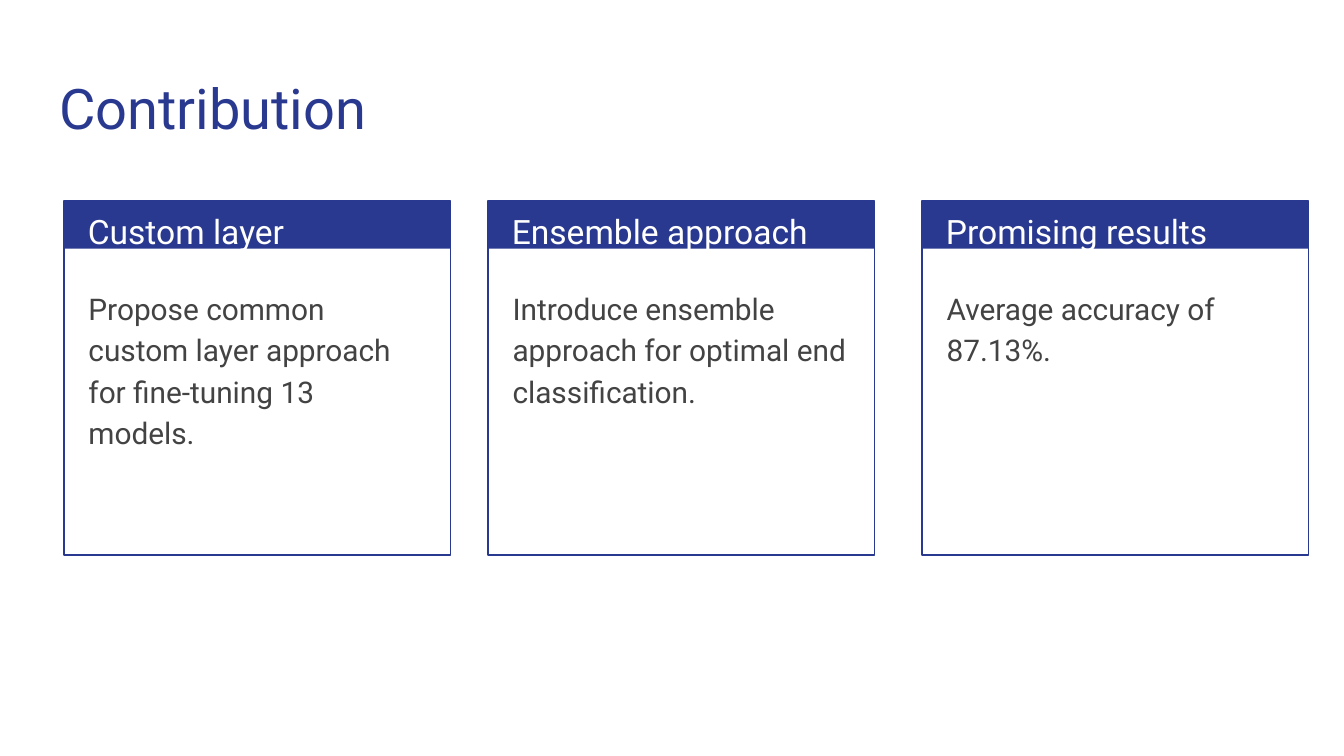
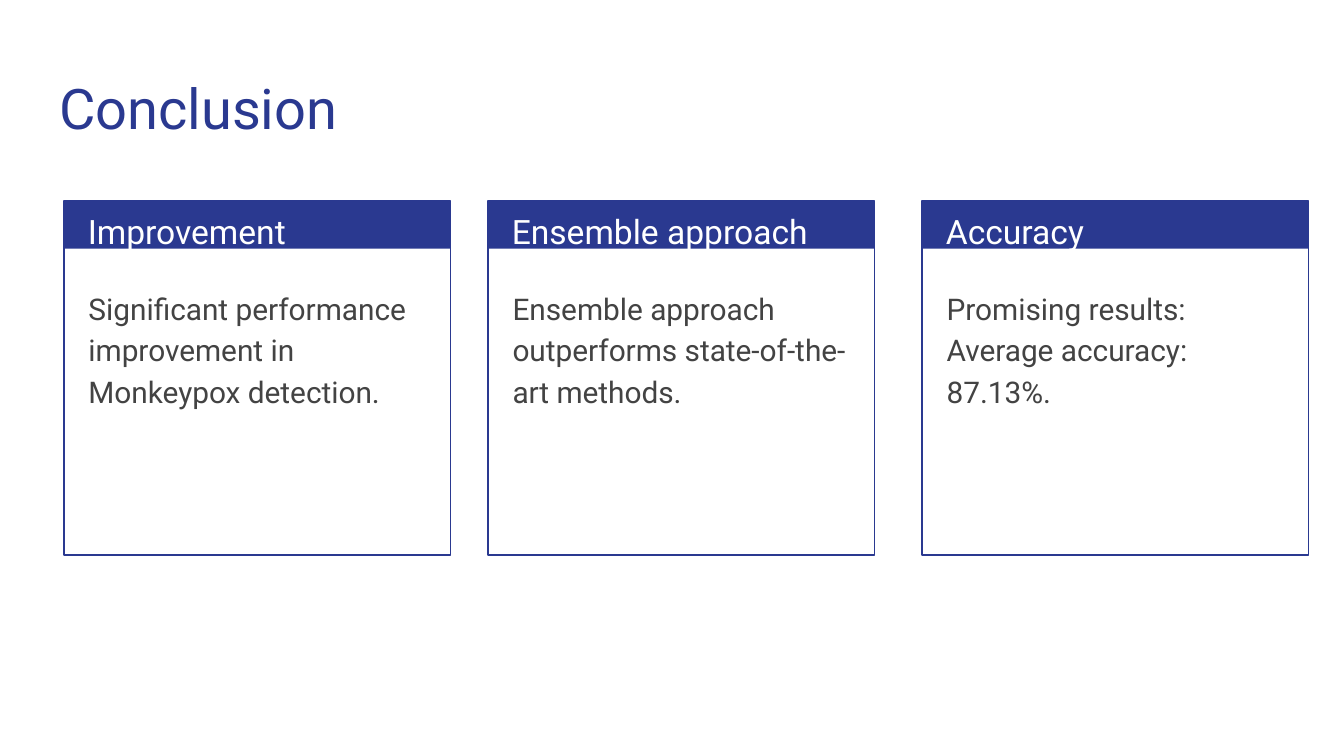
"""Build two slides of three titled cards each."""
from pptx import Presentation
from pptx import util as u
from pptx.dml.color import RGBColor
from pptx.enum import shapes, text

PX = 4572
BLUE, GREY, WHITE = "2A3990", "434343", "FFFFFF"
FONT = "Roboto"
LEFTS = (95, 726, 1372)
DECK = (
    ("Contribution", (
        ("Custom layer", "Propose common custom layer approach for fine-tuning 13 models.", 270),
        ("Ensemble approach", "Introduce ensemble approach for optimal end classification.", 208),
        ("Promising results", "Average accuracy of 87.13%.", 208),
    )),
    ("Conclusion", (
        ("Improvement", "Significant performance improvement in Monkeypox detection.", 270),
        ("Ensemble approach", "Ensemble approach outperforms state-of-the-art methods.", 208),
        ("Accuracy", "Promising results: Average accuracy: 87.13%.", 240),
    )),
)


def color(code):
    return RGBColor.from_string(code)


def px(*vals):
    return [u.Emu(v * PX) for v in vals]


def write(shape, words, size=16, fill=GREY, lead=1.0, after=0):
    frame = shape.text_frame
    frame.word_wrap = True
    frame.auto_size = text.MSO_AUTO_SIZE.NONE
    frame.vertical_anchor = text.MSO_ANCHOR.TOP
    pad = px(20)[0]
    frame.margin_left = frame.margin_right = pad
    frame.margin_top = frame.margin_bottom = pad
    par = frame.paragraphs[0]
    par.alignment = text.PP_ALIGN.LEFT
    par.line_spacing = lead
    par.space_before, par.space_after = u.Pt(0), u.Pt(after)
    run = par.add_run()
    run.text = words
    run.font.name, run.font.size = FONT, u.Pt(size)
    run.font.color.rgb = color(fill)


class Deck:
    def __init__(self):
        self.prs = Presentation()
        self.prs.slide_width, self.prs.slide_height = px(2000, 1125)
        back = self.prs.slide_master.background.fill
        back.solid()
        back.fore_color.rgb = color(WHITE)
        self.slide = None

    def page(self, name):
        self.slide = self.prs.slides.add_slide(self.prs.slide_layouts.get_by_name("Title Only"))
        title = self.slide.shapes.title
        title.left, title.top, title.width, title.height = px(68, 90, 1864, 132)
        write(title, name, size=30, fill=BLUE)

    def rect(self, group, box, fill=None, line=None):
        shape = group.shapes.add_shape(shapes.MSO_SHAPE.RECTANGLE, *px(*box))
        shape.shadow.inherit = False
        if fill:
            shape.fill.solid()
            shape.fill.fore_color.rgb = color(fill)
        else:
            shape.fill.background()
        if line:
            shape.line.color.rgb = color(line)
            shape.line.width = u.Pt(0.75)
        else:
            shape.line.fill.background()

    def label(self, box, words, **style):
        write(self.slide.shapes.add_textbox(*px(*box)), words, lead=1.15, **style)

    def card(self, left, head, body, high):
        group = self.slide.shapes.add_group_shape()
        self.rect(group, (left, 299, 575, 71), fill=BLUE)
        self.rect(group, (left, 299, 575, 527), line=BLUE)
        self.label((left + 16, 285, 546, 100), head, size=18, fill=WHITE)
        self.label((left + 17, 405, 542, high), body, after=16)


def main():
    deck = Deck()
    for name, cards in DECK:
        deck.page(name)
        for left, card in zip(LEFTS, cards):
            deck.card(left, *card)
    deck.prs.save("out.pptx")


if __name__ == "__main__":
    main()
